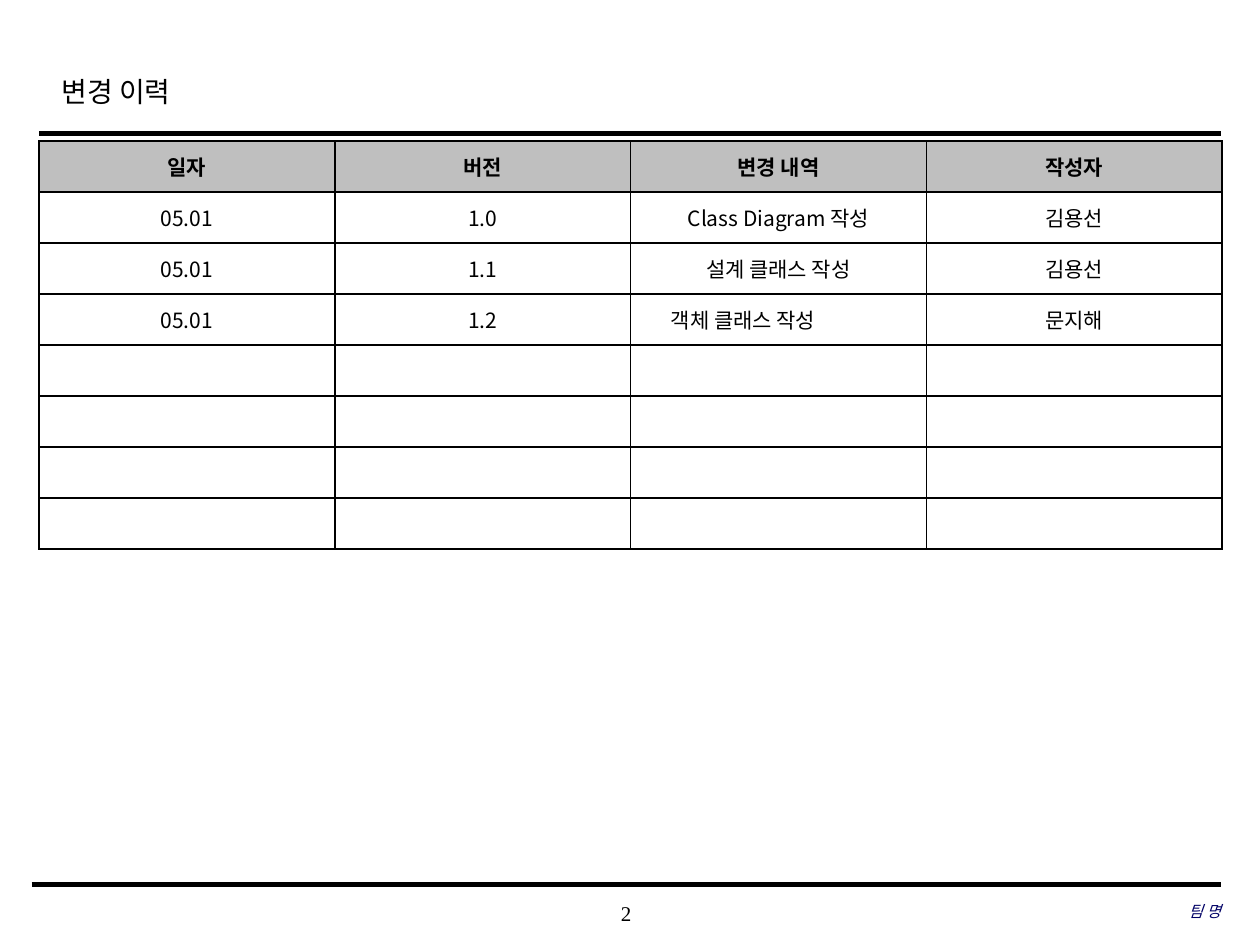
import pptx
import pptx.dml.color
import pptx.enum.shapes
import pptx.enum.text
import pptx.oxml.ns
import pptx.util
from lxml import etree

Inches = pptx.util.Inches
Pt = pptx.util.Pt
ALIGN = pptx.enum.text.PP_ALIGN
ANCHOR = pptx.enum.text.MSO_ANCHOR
qn = pptx.oxml.ns.qn

SERIF = "Times New Roman"
KOREAN = "Noto Sans CJK KR"
HEADINGS = ["일자", "버전", "변경 내역", "작성자"]
CHANGES = [
    ["05.01", "1.0", "Class Diagram 작성", "김용선"],
    ["05.01", "1.1", "설계 클래스 작성", "김용선"],
    ["05.01", "1.2", "객체 클래스 작성", "문지해"],
]
SPARE_ROWS = 4
INDENTED_CELL = (3, 2)


def color(value):
    return pptx.dml.color.RGBColor.from_string(value)


def add_run(paragraph, text, size, font, ink="000000", bold=False, italic=False):
    run = paragraph.add_run()
    run.text = text
    run.font.size = Pt(size)
    run.font.name = font
    run.font.bold = bold
    run.font.italic = italic
    run.font.color.rgb = color(ink)
    # Hangul takes the Korean face
    east_asian = etree.SubElement(run.font._element, qn("a:ea"))
    east_asian.set("typeface", KOREAN)


def add_label(slide, box, text, size, align, inset=(0, 0), anchor=ANCHOR.MIDDLE,
              spacing=None, **style):
    frame = slide.shapes.add_textbox(*map(Inches, box)).text_frame
    frame.word_wrap = True
    frame.vertical_anchor = anchor
    frame.margin_left = frame.margin_right = Inches(inset[0])
    frame.margin_top = frame.margin_bottom = Inches(inset[1])
    paragraph = frame.paragraphs[0]
    paragraph.alignment = align
    paragraph.line_spacing = spacing
    add_run(paragraph, text, size, SERIF, **style)


def add_rule(slide, left, right, y, width):
    rule = slide.shapes.add_connector(
        pptx.enum.shapes.MSO_CONNECTOR.STRAIGHT,
        Inches(left), Inches(y), Inches(right), Inches(y))
    rule.line.color.rgb = color("000000")
    rule.line.width = Pt(width)
    etree.SubElement(rule._element.spPr, qn("a:effectLst"))


def add_borders(cell):
    properties = cell._tc.get_or_add_tcPr()
    for position, side in enumerate(("lnL", "lnR", "lnT", "lnB")):
        border = etree.Element(qn("a:" + side), w=str(Pt(1)))
        fill = etree.SubElement(border, qn("a:solidFill"))
        etree.SubElement(fill, qn("a:srgbClr"), val="000000")
        properties.insert(position, border)


def fill_cell(cell, text, heading, indented):
    cell.fill.solid()
    cell.fill.fore_color.rgb = color("BFBFBF" if heading else "FFFFFF")
    cell.vertical_anchor = ANCHOR.MIDDLE
    add_borders(cell)
    paragraph = cell.text_frame.paragraphs[0]
    paragraph.alignment = ALIGN.LEFT if indented else ALIGN.CENTER
    if indented:
        cell.margin_left = Inches(0.32)
    if text:
        add_run(paragraph, text, 12, KOREAN, bold=heading)
    else:
        # Keeps empty rows at the common height
        etree.SubElement(paragraph._p, qn("a:endParaRPr"), sz="1200")


def add_history(slide):
    rows = [HEADINGS] + CHANGES + [[""] * len(HEADINGS)] * SPARE_ROWS
    history = slide.shapes.add_table(
        len(rows), len(HEADINGS),
        Inches(0.31), Inches(1.12), Inches(9.39), Inches(3.24)).table
    for row in history.rows:
        row.height = Inches(3.24 / len(rows))
    for r, texts in enumerate(rows):
        for c, text in enumerate(texts):
            fill_cell(history.cell(r, c), text, r == 0, (r, c) == INDENTED_CELL)


def main():
    deck = pptx.Presentation()
    deck.slide_width, deck.slide_height = Inches(10), Inches(7.5)
    slide = deck.slides.add_slide(deck.slide_layouts[6])

    # Page frame
    add_label(slide, (3.93, 7.08, 2.08, 0.33), "2", 12, ALIGN.CENTER)
    add_rule(slide, 0.31, 9.69, 1.06, 2.5)
    add_rule(slide, 0.25, 9.69, 7.02, 3)

    # Title and team name
    add_label(slide, (0.39, 0.49, 7.55, 0.5), "변경 이력", 16, ALIGN.LEFT,
              inset=(0.1, 0.05), anchor=ANCHOR.TOP, spacing=1.2)
    add_label(slide, (6.63, 7.07, 3.06, 0.33), "팀 명", 9, ALIGN.RIGHT,
              ink="000066", italic=True)

    # Change history
    add_history(slide)
    deck.save("out.pptx")


main()
